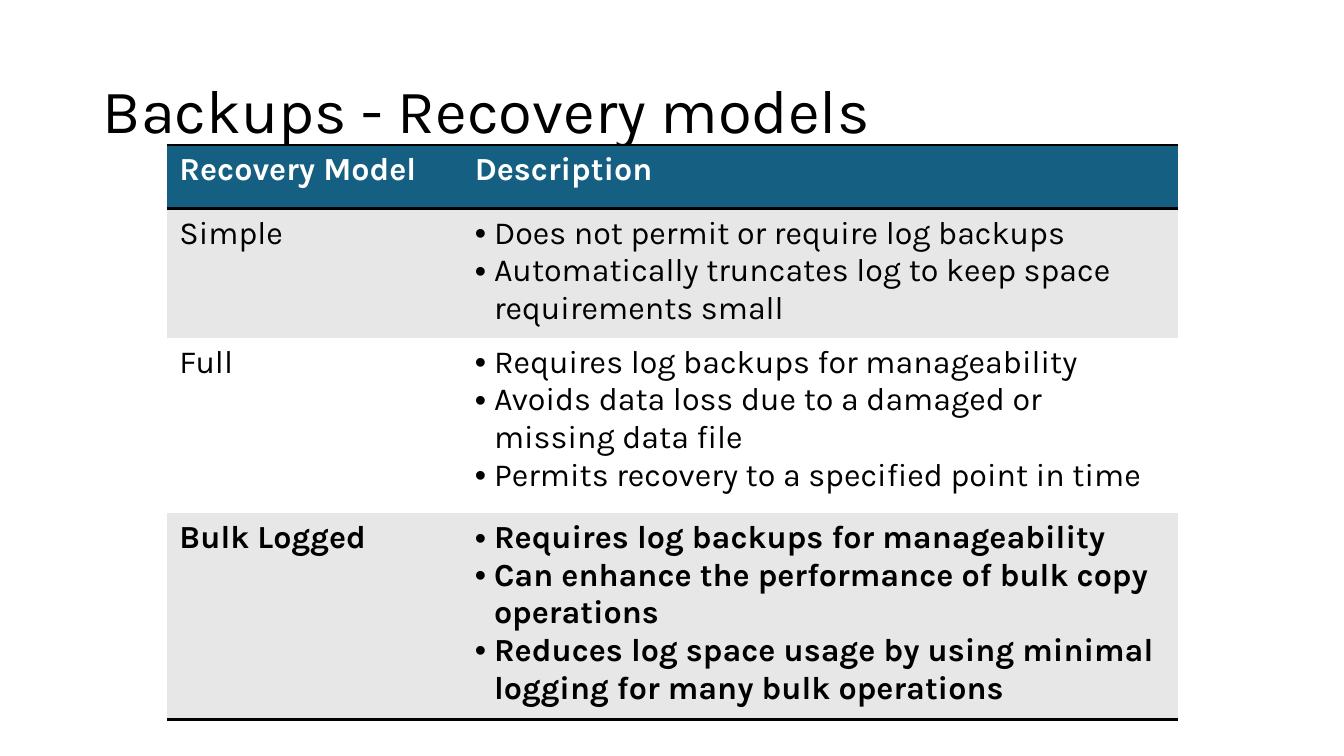
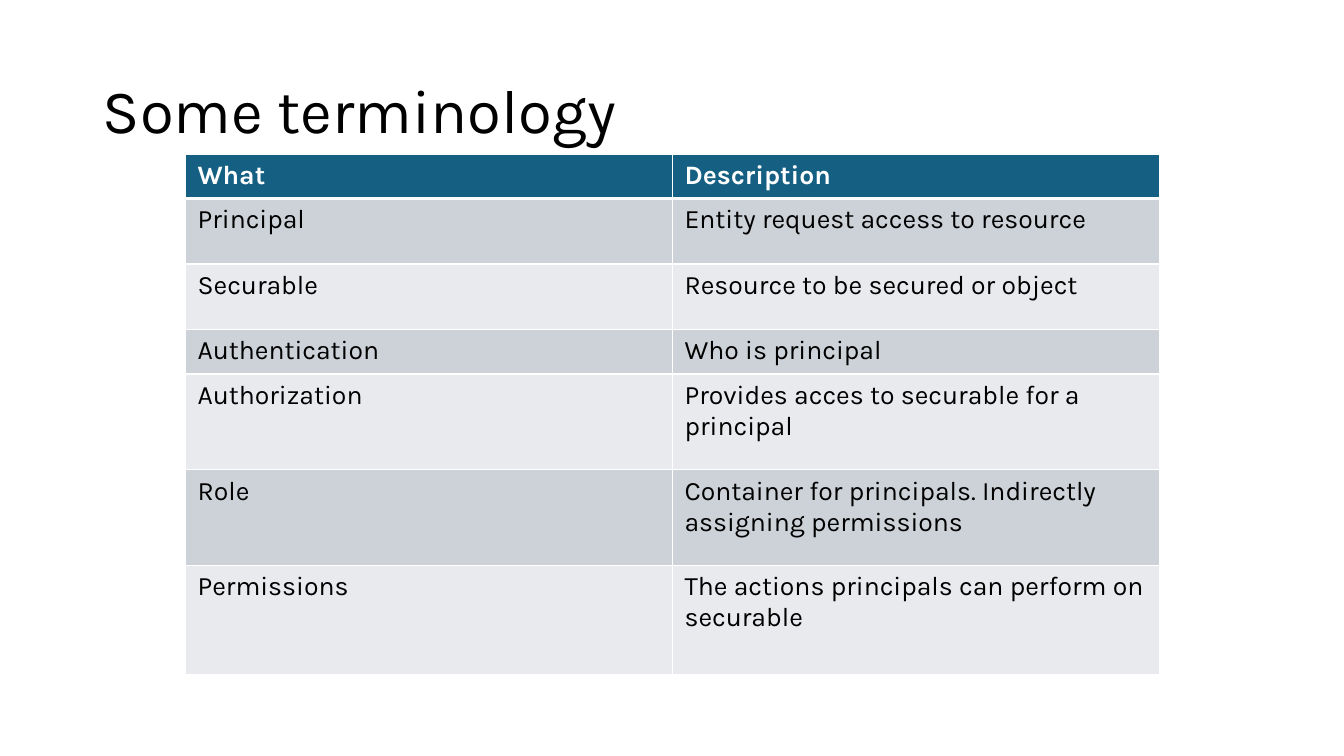
from dataclasses import dataclass, field

from lxml import etree
from pptx import Presentation
from pptx.dml.color import RGBColor
from pptx.enum.text import MSO_ANCHOR, MSO_AUTO_SIZE, PP_ALIGN
from pptx.oxml.ns import qn
from pptx.util import Inches, Pt

MIDDLE = MSO_ANCHOR.MIDDLE
TOP = MSO_ANCHOR.TOP
NO_AUTOFIT = MSO_AUTO_SIZE.NONE
LEFT = PP_ALIGN.LEFT

FONT = "Karla"
BLACK = "000000"
WHITE = "FFFFFF"
HEADER_BLUE = "156082"
PLAIN_TABLE_STYLE = "{2D5ABB26-0587-4C30-8999-92F81FD0307C}"
TITLE_ONLY_LAYOUT = 5
BULLET_INDENT = 0.19
TITLE_BOX = {"left": 0.92, "top": 0.4, "width": 11.5, "height": 1.45}
CELL_MARGINS = {
    "margin_left": Inches(0.12),
    "margin_right": Inches(0.12),
    "margin_top": Inches(0.06),
    "margin_bottom": Inches(0.06),
    "vertical_anchor": TOP,
}

Borders = dict[str, tuple[str, float]]


@dataclass
class TableRow:
    height: float
    term: str
    description: list[str]
    bold: bool = False
    bulleted: bool = False
    borders: Borders = field(default_factory=dict)


@dataclass
class TableSlide:
    title: str
    left: float
    top: float
    column_widths: list[float]
    font_size: float
    band_colors: tuple[str, str]
    header_borders: Borders
    body_borders: Borders
    header: TableRow
    rows: list[TableRow]


BLACK_RULE = (BLACK, 2)
WHITE_RULE = (WHITE, 1)
WHITE_GRID = {side: WHITE_RULE for side in "LRTB"}

TABLE_SLIDES = [
    TableSlide(
        title="Backups - Recovery models",
        left=1.66,
        top=1.44,
        column_widths=[2.93, 7.09],
        font_size=23,
        band_colors=("E7E7E7", WHITE),
        header_borders={"T": BLACK_RULE, "B": BLACK_RULE},
        body_borders={},
        header=TableRow(0.63, "Recovery Model", ["Description"], bold=True),
        rows=[
            TableRow(1.28, "Simple", [
                "Does not permit or require log backups",
                "Automatically truncates log to keep space requirements small",
            ], bulleted=True, borders={"T": BLACK_RULE}),
            TableRow(1.74, "Full", [
                "Requires log backups for manageability",
                "Avoids data loss due to a damaged or missing data file",
                "Permits recovery to a specified point in time",
            ], bulleted=True),
            TableRow(2.05, "Bulk Logged", [
                "Requires log backups for manageability",
                "Can enhance the performance of bulk copy operations",
                "Reduces log space usage by using minimal logging for many bulk operations",
            ], bold=True, bulleted=True, borders={"B": BLACK_RULE}),
        ],
    ),
    TableSlide(
        title="Some terminology",
        left=1.84,
        top=1.53,
        column_widths=[4.83, 4.83],
        font_size=19,
        band_colors=("CCD2D8", "E8EAED"),
        header_borders=WHITE_GRID | {"B": (WHITE, 3)},
        body_borders=WHITE_GRID,
        header=TableRow(0.44, "What", ["Description"], bold=True),
        rows=[
            TableRow(0.65, "Principal", ["Entity request access to resource"],
                     borders={"T": (WHITE, 3)}),
            TableRow(0.65, "Securable", ["Resource to be secured or object"]),
            TableRow(0.44, "Authentication", ["Who is principal"]),
            TableRow(0.95, "Authorization", ["Provides acces to securable for a principal"]),
            TableRow(0.95, "Role", ["Container for principals. Indirectly assigning permissions"]),
            TableRow(1.08, "Permissions", ["The actions principals can perform on securable"]),
        ],
    ),
]


def color(hex_value: str) -> RGBColor:
    return RGBColor.from_string(hex_value)


def apply_format(target, values: dict) -> None:
    for name, value in values.items():
        setattr(target, name, value)


def add_run(paragraph, text: str, size: float, text_color: str, bold: bool = False) -> None:
    run = paragraph.add_run()
    run.text = text
    apply_format(run.font, {"name": FONT, "size": Pt(size), "bold": bold})
    run.font.color.rgb = color(text_color)


def add_bullet(paragraph) -> None:
    properties = paragraph._p.get_or_add_pPr()
    properties.set("marL", str(Inches(BULLET_INDENT)))
    properties.set("indent", str(-Inches(BULLET_INDENT)))
    etree.SubElement(properties, qn("a:buFont")).set("typeface", "Arial")
    etree.SubElement(properties, qn("a:buChar")).set("char", "•")


def set_borders(cell, borders: Borders) -> None:
    properties = cell._tc.get_or_add_tcPr()
    for side in "LRTB":
        line = etree.SubElement(properties, qn(f"a:ln{side}"))
        if side not in borders:
            etree.SubElement(line, qn("a:noFill"))
            continue
        line_color, width = borders[side]
        line.set("w", str(Pt(width)))
        fill = etree.SubElement(line, qn("a:solidFill"))
        etree.SubElement(fill, qn("a:srgbClr")).set("val", line_color)


def fill_cell(cell, lines: list[str], size: float, text_color: str, fill_color: str,
              bold: bool, bulleted: bool, borders: Borders) -> None:
    set_borders(cell, borders)
    cell.fill.solid()
    cell.fill.fore_color.rgb = color(fill_color)
    apply_format(cell, CELL_MARGINS)
    for index, line in enumerate(lines):
        text_frame = cell.text_frame
        paragraph = text_frame.add_paragraph() if index else text_frame.paragraphs[0]
        if bulleted:
            add_bullet(paragraph)
        add_run(paragraph, line, size, text_color, bold)


def add_title(slide, text: str) -> None:
    title = slide.shapes.title
    apply_format(title, {name: Inches(value) for name, value in TITLE_BOX.items()})
    apply_format(title.text_frame, {
        "vertical_anchor": MIDDLE, "word_wrap": True, "auto_size": NO_AUTOFIT,
    })
    paragraph = title.text_frame.paragraphs[0]
    apply_format(paragraph, {"alignment": LEFT, "line_spacing": 0.9})
    add_run(paragraph, text, 44, BLACK)


def add_table(slide, content: TableSlide) -> None:
    rows = [content.header, *content.rows]
    frame = slide.shapes.add_table(
        len(rows), len(content.column_widths),
        Inches(content.left), Inches(content.top),
        Inches(sum(content.column_widths)), Inches(sum(row.height for row in rows)),
    )
    table = frame.table
    table._tbl.tblPr.find(qn("a:tableStyleId")).text = PLAIN_TABLE_STYLE
    for column, width in zip(table.columns, content.column_widths):
        column.width = Inches(width)
    for index, row in enumerate(rows):
        table.rows[index].height = Inches(row.height)
        is_header = index == 0
        text_color = WHITE if is_header else BLACK
        fill_color = HEADER_BLUE if is_header else content.band_colors[(index - 1) % 2]
        borders = (content.header_borders if is_header else content.body_borders) | row.borders
        for column_index, lines in enumerate(([row.term], row.description)):
            fill_cell(
                table.cell(index, column_index), lines, content.font_size, text_color,
                fill_color, row.bold, row.bulleted and column_index == 1, borders,
            )


def main() -> None:
    presentation = Presentation()
    presentation.slide_width = Inches(13.33)
    presentation.slide_height = Inches(7.5)
    for content in TABLE_SLIDES:
        slide = presentation.slides.add_slide(presentation.slide_layouts[TITLE_ONLY_LAYOUT])
        add_title(slide, content.title)
        add_table(slide, content)
    presentation.save("out.pptx")


if __name__ == "__main__":
    main()
